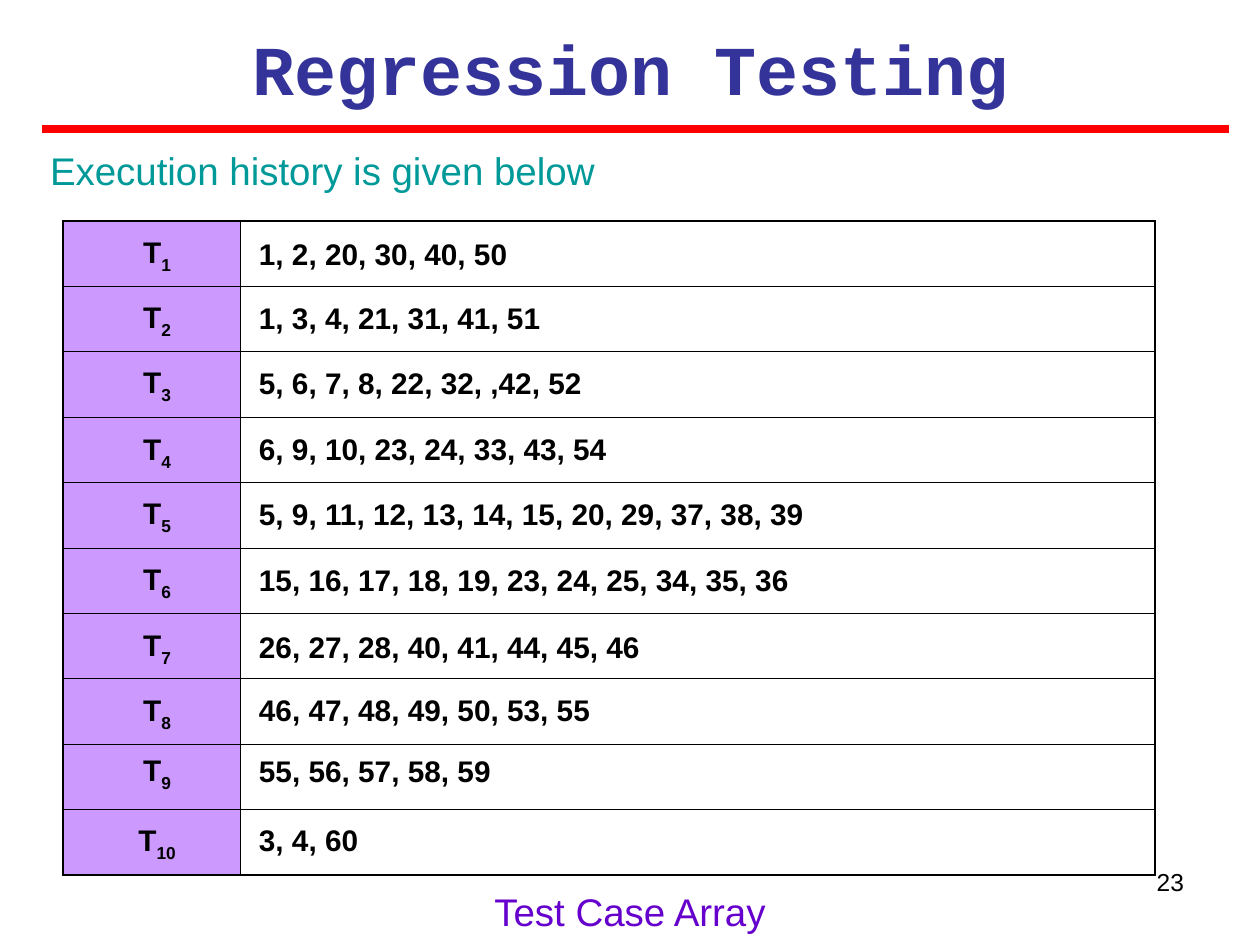
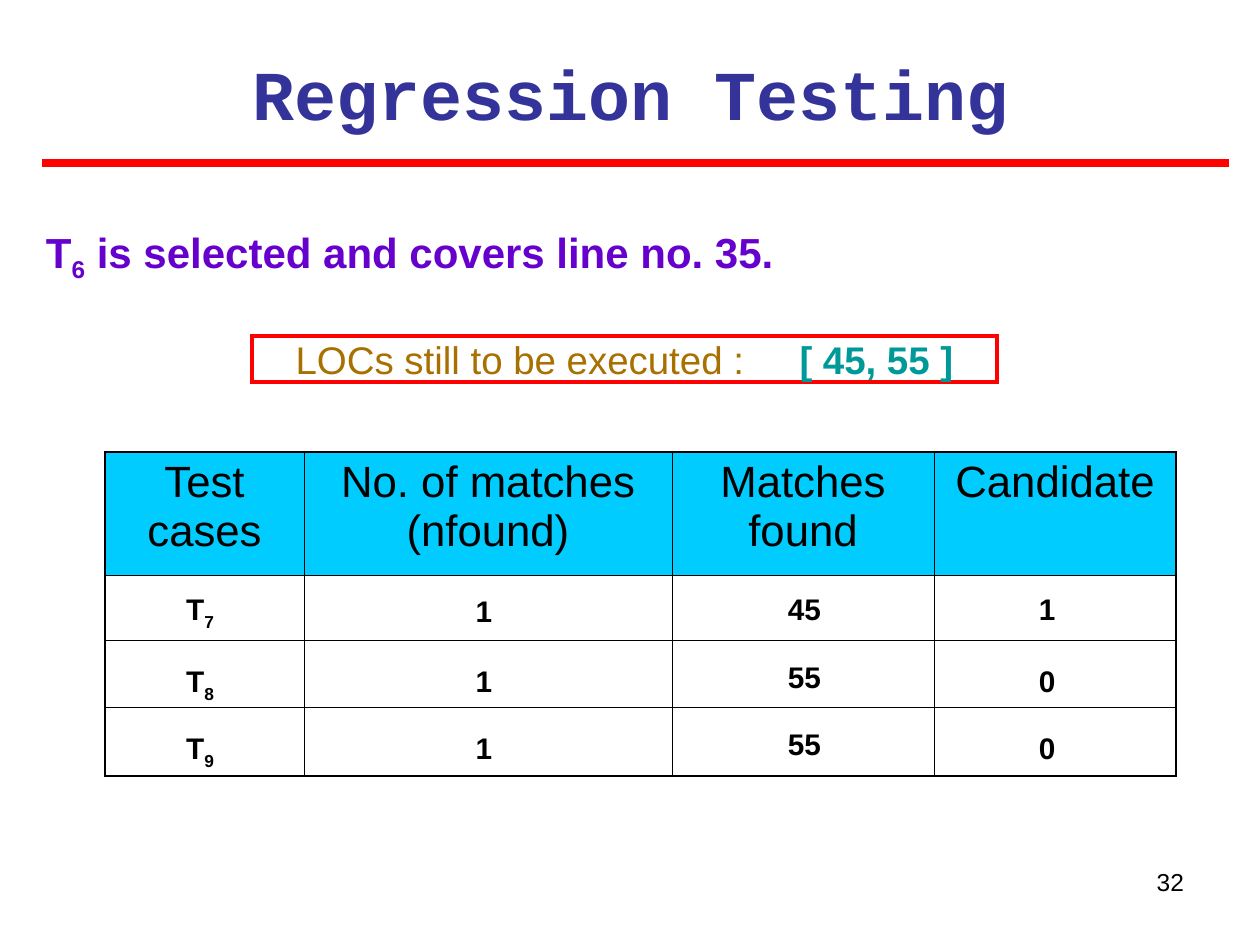
from dataclasses import dataclass

from lxml import etree
from pptx import Presentation
from pptx.dml.color import RGBColor
from pptx.enum.shapes import MSO_CONNECTOR, MSO_SHAPE
from pptx.enum.text import MSO_ANCHOR, MSO_AUTO_SIZE, PP_ALIGN
from pptx.oxml.ns import qn
from pptx.util import Emu, Pt

LEFT, CENTER, RIGHT = PP_ALIGN.LEFT, PP_ALIGN.CENTER, PP_ALIGN.RIGHT
TOP, NO_FIT = MSO_ANCHOR.TOP, MSO_AUTO_SIZE.NONE
STRAIGHT, RECT = MSO_CONNECTOR.STRAIGHT, MSO_SHAPE.RECTANGLE
SCALE = 914400 / 126


@dataclass(frozen=True)
class Theme:
    font: str = "Arial"
    mono: str = "Courier New"
    ink: str = "000000"
    navy: str = "333399"
    red: str = "FF0000"
    teal: str = "009999"
    violet: str = "6600CC"
    gold: str = "A87000"
    lilac: str = "CC99FF"
    sky: str = "00CCFF"
    title: int = 40
    head: int = 25
    lead: int = 24
    body: int = 22
    cell: int = 17
    page: int = 14
    rule: float = 4.5
    frame: float = 2.25
    outer: float = 1.08
    inner: float = 0.45


T = Theme()

TITLE = "Regression Testing"
PAD = (13, 6, 13, 6)

# Each row: top of the label, top of the lines, lines run by the test case
HISTORY = [
    (234, 236, "1, 2, 20, 30, 40, 50"),
    (299, 300, "1, 3, 4, 21, 31, 41, 51"),
    (364, 365, "5, 6, 7, 8, 22, 32, ,42, 52"),
    (431, 431, "6, 9, 10, 23, 24, 33, 43, 54"),
    (495, 496, "5, 9, 11, 12, 13, 14, 15, 20, 29, 37, 38, 39"),
    (561, 562, "15, 16, 17, 18, 19, 23, 24, 25, 34, 35, 36"),
    (627, 629, "26, 27, 28, 40, 41, 44, 45, 46"),
    (692, 692, "46, 47, 48, 49, 50, 53, 55"),
    (752, 753, "55, 56, 57, 58, 59"),
    (822, 822, "3, 4, 60"),
]

HEADS = ["Test cases", "No. of matches (nfound)", "Matches found", "Candidate"]
MATCHES = [(7, "1", "45", "1"), (8, "1", "55", "0"), (9, "1", "55", "0")]
# Each column: left, width, tops of its three values
MATCH_SPOTS = [
    (158, 84, (591, 663, 730)),
    (442, 84, (593, 663, 730)),
    (737, 135, (591, 659, 726)),
    (1005, 84, (591, 663, 730)),
]


def px(n):
    return Emu(round(n * SCALE))


def box(area):
    return [px(n) for n in area]


def rgb(code):
    return RGBColor.from_string(code)


def case(num):
    """Parts of a test case label: T with a subscript number."""
    return [("T", {}), (str(num), {"sub": True})]


def write(frame, parts, size, color=T.ink, bold=False, font=T.font, align=LEFT):
    """Fill a frame with one paragraph of plain text or of (text, style) parts."""
    para = frame.paragraphs[0]
    para.alignment = align
    if isinstance(parts, str):
        parts = [(parts, {})]
    for text, style in parts:
        run = para.add_run()
        run.text = text
        run.font.name, run.font.size = font, Pt(size)
        run.font.bold = style.get("bold", bold)
        run.font.color.rgb = rgb(style.get("color", color))
        if style.get("sub"):
            run._r.get_or_add_rPr().set("baseline", "-25000")
    return para


def inset(item, sides):
    """Set left, top, right and bottom margins of a frame or cell."""
    item.margin_left, item.margin_top, item.margin_right, item.margin_bottom = box(sides)
    item.vertical_anchor = TOP


def setup(frame, sides=(0, 0, 0, 0)):
    frame.word_wrap = True
    frame.auto_size = NO_FIT
    inset(frame, sides)
    return frame


def label(slide, area, parts, size, sides=(0, 0, 0, 0), **style):
    shape = slide.shapes.add_textbox(*box(area))
    write(setup(shape.text_frame, sides), parts, size, **style)


def entry(slide, left, top, width, parts, align=CENTER):
    """Place one bold value over a table cell."""
    height = 35 if isinstance(parts, str) else 40
    label(slide, (left, top, width, height), parts, T.cell, bold=True, align=align)


def start(deck, page, top, rule):
    """Add a slide with its title, red rule and page number."""
    slide = deck.slides.add_slide(deck.slide_layouts[5])
    title = slide.shapes.title
    title.left, title.top, title.width, title.height = box((42, top, 1176, 97))
    write(setup(title.text_frame, PAD), TITLE, T.title, T.navy, True, T.mono, CENTER)
    line = slide.shapes.add_connector(STRAIGHT, *box((42, rule, 1229, rule)))
    line.line.color.rgb, line.line.width = rgb(T.red), Pt(T.rule)
    etree.SubElement(line._element.spPr, qn("a:effectLst"))
    label(slide, (903, 861, 294, 66), page, T.page, PAD, align=RIGHT)
    return slide


def border(cell, widths):
    """Draw left, right, top and bottom borders, placed ahead of the fill."""
    props = cell._tc.get_or_add_tcPr()
    for spot, (tag, width) in enumerate(zip(("lnL", "lnR", "lnT", "lnB"), widths)):
        line = etree.Element(qn(f"a:{tag}"), w=str(Pt(width)))
        fill = etree.SubElement(line, qn("a:solidFill"))
        etree.SubElement(fill, qn("a:srgbClr"), val=T.ink)
        props.insert(spot, line)


def grid(slide, spot, widths, heights):
    """Add a table with thick outer and thin inner borders and no fill."""
    rows, cols = len(heights), len(widths)
    area = (*spot, sum(widths), sum(heights))
    table = slide.shapes.add_table(rows, cols, *box(area)).table
    table.first_row = table.horz_banding = False
    for col, width in zip(table.columns, widths):
        col.width = px(width)
    for row, height in zip(table.rows, heights):
        row.height = px(height)
    for r in range(rows):
        for c in range(cols):
            cell = table.cell(r, c)
            cell.fill.background()
            edges = (c == 0, c == cols - 1, r == 0, r == rows - 1)
            border(cell, [T.outer if edge else T.inner for edge in edges])
    return table


def paint(cell, color):
    cell.fill.solid()
    cell.fill.fore_color.rgb = rgb(color)


def history(deck):
    slide = start(deck, "23", 20, 129)
    label(slide, (50, 147, 1166, 47), "Execution history is given below",
          T.body, color=T.teal)
    count = len(HISTORY)
    table = grid(slide, (63, 221), (177, 915), [654 / count] * count)
    for r, (top, drop, lines) in enumerate(HISTORY):
        paint(table.cell(r, 0), T.lilac)
        entry(slide, 115, top, 84, case(r + 1))
        entry(slide, 259, drop, 854, lines, LEFT)
    label(slide, (42, 888, 1176, 47), "Test Case Array",
          T.body, color=T.violet, align=CENTER)


def matches(deck):
    slide = start(deck, "32", 45, 163)
    lead = case(6) + [(" is selected and covers line no. 35.", {})]
    label(slide, (46, 226, 1166, 58), lead, T.lead, color=T.violet, bold=True)

    left = slide.shapes.add_shape(RECT, *box((252, 336, 745, 46)))
    left.shadow.inherit = False
    left.fill.background()
    left.line.color.rgb, left.line.width = rgb(T.red), Pt(T.frame)
    etree.SubElement(left.line._ln, qn("a:miter"), lim="800000")
    parts = [("LOCs still to be executed : \t", {}),
             ("[ 45, 55 ]", {"color": T.teal, "bold": True})]
    para = write(setup(left.text_frame), parts, T.body, T.gold, align=CENTER)
    tabs = etree.SubElement(para._p.get_or_add_pPr(), qn("a:tabLst"))
    for stop in range(1, 8):
        etree.SubElement(tabs, qn("a:tab"), pos=str(px(126 * stop)), algn="l")

    table = grid(slide, (105, 452), (199, 368, 262, 242), (123, 65, 67, 69))
    for c, head in enumerate(HEADS):
        cell = table.cell(0, c)
        paint(cell, T.sky)
        inset(cell, PAD)
        write(cell.text_frame, head, T.head, align=CENTER)
    cases, *values = zip(*MATCHES)
    columns = [[case(num) for num in cases], *values]
    for (left, width, tops), column in zip(MATCH_SPOTS, columns):
        for top, value in zip(tops, column):
            entry(slide, left, top, width, value)


def main():
    deck = Presentation()
    deck.slide_width, deck.slide_height = px(1260), px(945)
    history(deck)
    matches(deck)
    deck.save("out.pptx")


if __name__ == "__main__":
    main()
